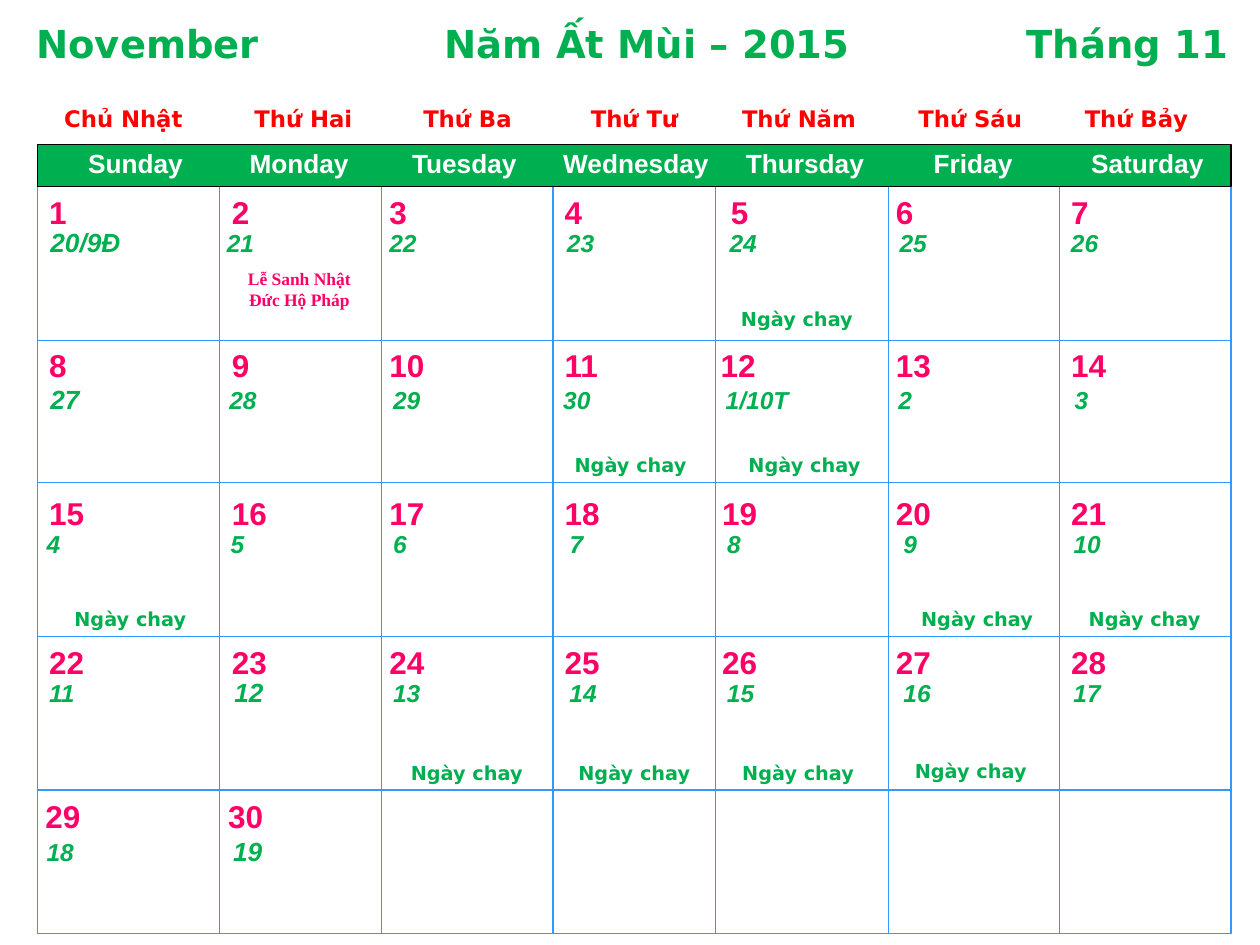
from lxml import etree
from pptx import Presentation
from pptx.dml.color import RGBColor
from pptx.enum import shapes, text
from pptx.oxml import ns
from pptx.util import Inches, Pt

GREEN = RGBColor(0x00, 0xB0, 0x50)
PINK = RGBColor(0xFF, 0x00, 0x66)
RED = RGBColor(0xFF, 0x00, 0x00)
BLUE = RGBColor(0x33, 0x99, 0xFF)
WHITE = RGBColor(0xFF, 0xFF, 0xFF)
BLACK = RGBColor(0x00, 0x00, 0x00)

LEFT, RIGHT = 0.3, 9.77
TOP, BOTTOM = 1.48, 7.41
INSET = 0.09

presentation = Presentation()
presentation.slide_width = Inches(10)
presentation.slide_height = Inches(7.5)
slide = presentation.slides.add_slide(presentation.slide_layouts[6])


def add_text(box, lines, size, font, color, italic=False, align=None, wrap=True):
    """Add a bold text box; box is left, top, width, height in inches."""
    frame = slide.shapes.add_textbox(*[Inches(value) for value in box]).text_frame
    frame.word_wrap = wrap
    frame.margin_left = frame.margin_right = Inches(INSET)
    frame.text = lines
    for paragraph in frame.paragraphs:
        paragraph.font.size = Pt(size)
        paragraph.font.name = font
        paragraph.font.bold = True
        paragraph.font.italic = italic
        paragraph.font.color.rgb = color
        paragraph.alignment = align
    return frame


def add_row(box, entries, starts, size, font, color, italic=False, large=()):
    """Add one line of entries, each starting at its own place on the slide."""
    frame = add_text(box, "", size, font, color, italic)
    frame.margin_left = Inches(starts[0] - box[0])
    paragraph = frame.paragraphs[0]
    tabs = etree.Element(ns.qn("a:tabLst"))
    for start in starts[1:len(entries)]:
        etree.SubElement(tabs, ns.qn("a:tab"), pos=str(Inches(start - starts[0])), algn="l")
    paragraph._p.get_or_add_pPr().insert(0, tabs)
    for index, entry in enumerate(entries):
        run = paragraph.add_run()
        run.text = entry if index == 0 else "\t" + entry
        if entry in large:
            run.font.size = Pt(15)


# Calendar grid
grid_lines = [(LEFT, y, RIGHT, y) for y in (TOP, 2.7, 3.83, 5.05, 6.27)]
grid_lines += [(x, TOP, x, BOTTOM) for x in (1.74, 3.03, 4.39, 5.68, 7.05, 8.41)]
for ends in grid_lines:
    line = slide.shapes.add_connector(
        shapes.MSO_CONNECTOR.STRAIGHT, *[Inches(value) for value in ends])
    line.line.color.rgb = BLUE
    line.line.width = Pt(0.75)
    etree.SubElement(line._element.spPr, ns.qn("a:effectLst"))

# Calendar frame and weekday bar
for top, bottom, fill, outline in ((TOP, BOTTOM, None, BLUE), (1.15, TOP, GREEN, BLACK)):
    shape = slide.shapes.add_shape(
        shapes.MSO_SHAPE.RECTANGLE, Inches(LEFT), Inches(top),
        Inches(RIGHT - LEFT), Inches(bottom - top))
    shape.shadow.inherit = False
    if fill is None:
        shape.fill.background()
    else:
        shape.fill.solid()
        shape.fill.fore_color.rgb = fill
    shape.line.color.rgb = outline
    shape.line.width = Pt(0.75)

# Title
add_row((0.11, 0.11, 9.77, 0.46), ["November", "Năm Ất Mùi – 2015", "Tháng 11"],
        [0.29, 3.53, 8.15], 22, "DejaVu Sans", GREEN)

# Weekdays in Vietnamese and English
add_row((0.11, 0.78, 9.66, 0.31),
        ["Chủ Nhật", "Thứ Hai", "Thứ Ba", "Thứ Tư", "Thứ Năm", "Thứ Sáu", "Thứ Bảy"],
        [0.51, 2.02, 3.36, 4.69, 5.89, 7.29, 8.61], 13, "DejaVu Sans", RED)
for day, left, width in (
        ("Sunday", 0.61, 0.94), ("Monday", 1.89, 0.98), ("Tuesday", 3.18, 1.02),
        ("Wednesday", 4.38, 1.35), ("Thursday", 5.83, 1.13), ("Friday", 7.32, 0.82),
        ("Saturday", 8.57, 1.09)):
    add_text((left, 1.12, width, 0.35), day, 15, "Arial", WHITE, wrap=False)

# Weeks: first date, left and top of the dates, start of the Thursday date,
# then box, days and starts of the lunar dates
weeks = [
    (1, 0.3, 1.48, 5.8, (0.08, 1.75, 9.33, 0.35),
     ["20/9Đ", "21", "22", "23", "24", "25", "26"],
     [0.4, 1.8, 3.09, 4.5, 5.79, 7.14, 8.5]),
    (8, 0.3, 2.7, 5.72, (0.08, 2.99, 9.17, 0.35),
     ["27", "28", "29", "30", "1/10T", "2", "3"],
     [0.4, 1.82, 3.12, 4.47, 5.76, 7.13, 8.53]),
    (15, 0.3, 3.87, 5.73, (0.17, 4.15, 9.39, 0.35),
     ["4", "5", "6", "7", "8", "9", "10"],
     [0.37, 1.83, 3.12, 4.52, 5.77, 7.17, 8.52]),
    (22, 0.3, 5.05, 5.73, (0.25, 5.32, 8.87, 0.35),
     ["11", "12", "13", "14", "15", "16", "17"],
     [0.39, 1.86, 3.12, 4.52, 5.77, 7.17, 8.52]),
    (29, 0.27, 6.28, 5.73, (0.17, 6.58, 8.87, 0.35), ["18", "19"], [0.37, 1.85]),
]
for first, left, top, thursday, lunar_box, lunar_days, lunar_starts in weeks:
    dates = [str(first + offset) for offset in range(len(lunar_days))]
    starts = [left + INSET, left + 1.54, 3.09, 4.48, thursday, 7.11, 8.5]
    add_row((left, top, 9.39, 0.41), dates, starts, 18, "Arial", PINK)
    add_row(lunar_box, lunar_days, lunar_starts, 14, "Arial", GREEN, italic=True,
            large=("20/9Đ", "27", "12", "19"))

# Fasting days
for left, top in (
        (5.79, 2.39), (4.47, 3.55), (5.85, 3.55), (0.5, 4.77), (7.22, 4.77),
        (8.55, 4.77), (3.17, 5.99), (4.5, 5.99), (5.8, 5.99), (7.17, 5.98)):
    add_text((left, top, 1.11, 0.28), "Ngày chay", 11, "DejaVu Sans", GREEN)

# Holy day
add_text((1.5, 2.08, 1.75, 0.43), "Lễ Sanh Nhật\nĐức Hộ Pháp", 10, "Times New Roman",
         PINK, align=text.PP_ALIGN.CENTER)

presentation.save("out.pptx")
